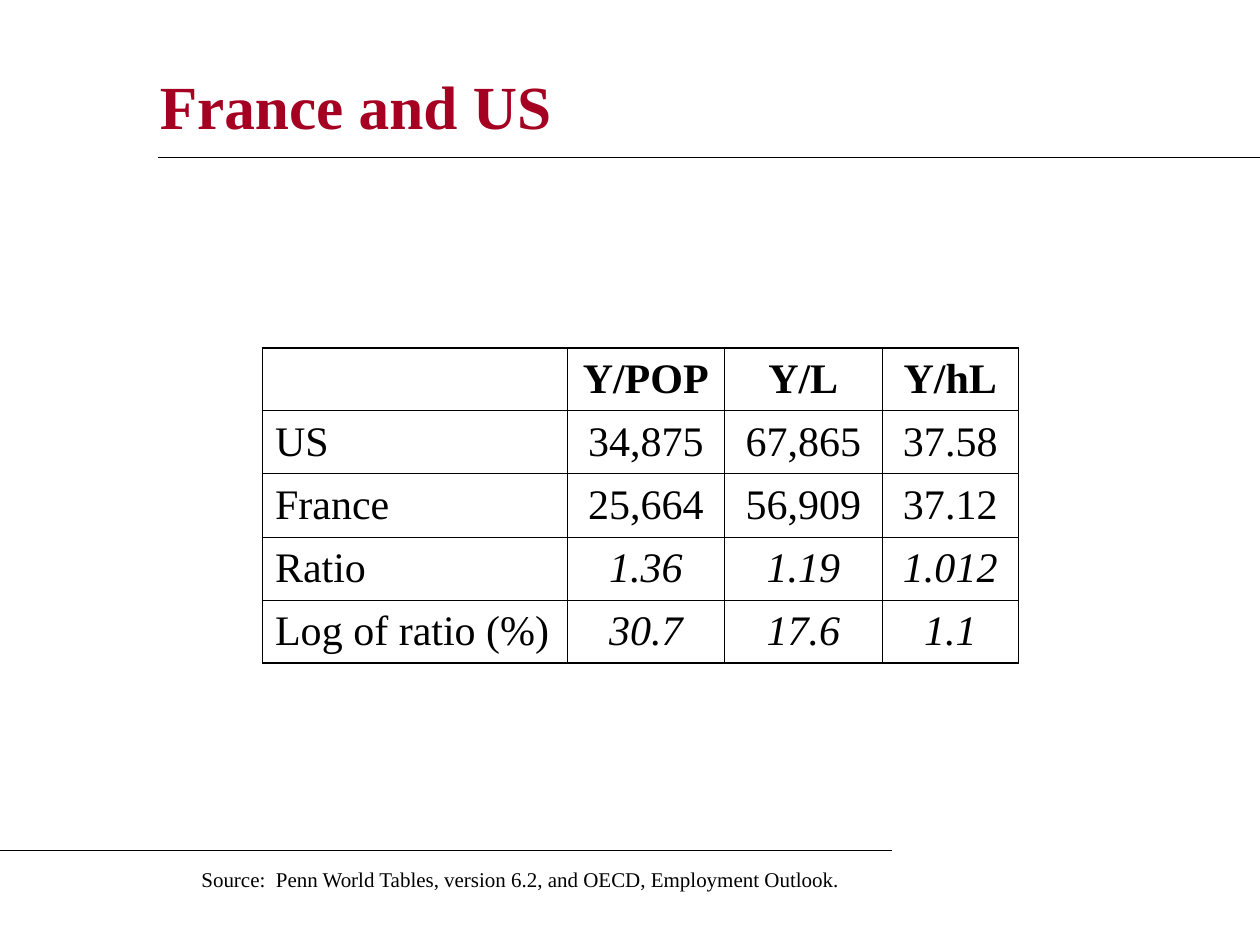
import pptx
import pptx.dml.color
import pptx.enum.shapes
import pptx.enum.text
import pptx.oxml.ns
import pptx.util
from lxml import etree

Pt = pptx.util.Pt
ALIGN = pptx.enum.text.PP_ALIGN
MIDDLE = pptx.enum.text.MSO_ANCHOR.MIDDLE
qn = pptx.oxml.ns.qn
COLORS = {"title": "A50021", "ink": "000000"}

deck = pptx.Presentation()
deck.slide_width, deck.slide_height = Pt(720), Pt(540)
slide = deck.slides.add_slide(deck.slide_layouts[6])


def add_text(paragraph, text, size, color="ink", bold=False, italic=False):
    run = paragraph.add_run()
    run.text = text
    run.font.name = "Times New Roman"
    run.font.size = Pt(size)
    run.font.bold = bold
    run.font.italic = italic
    run.font.color.rgb = pptx.dml.color.RGBColor.from_string(COLORS[color])


def add_border(cell, side, width):
    line = etree.SubElement(cell._tc.get_or_add_tcPr(), qn(f"a:ln{side}"), w=str(Pt(width)))
    fill = etree.SubElement(line, qn("a:solidFill"))
    etree.SubElement(fill, qn("a:srgbClr"), val=COLORS["ink"])


# Title
title = slide.shapes.add_textbox(Pt(84.24), Pt(30.24), Pt(594), Pt(60)).text_frame
title.word_wrap = True
title.vertical_anchor = MIDDLE
add_text(title.paragraphs[0], "France and US", 35, "title", bold=True)

# Rules under the title and above the source
for start, end, y in [(90, 720, 90), (0, 510, 486)]:
    rule = slide.shapes.add_connector(
        pptx.enum.shapes.MSO_CONNECTOR.STRAIGHT, Pt(start), Pt(y), Pt(end), Pt(y))
    rule.line.width = Pt(0.75)
    rule.line.color.rgb = pptx.dml.color.RGBColor.from_string(COLORS["ink"])
    etree.SubElement(rule._element.spPr, qn("a:effectLst"))

# Output comparison table
comparison = [
    ["", "Y/POP", "Y/L", "Y/hL"],
    ["US", "34,875", "67,865", "37.58"],
    ["France", "25,664", "56,909", "37.12"],
    ["Ratio", "1.36", "1.19", "1.012"],
    ["Log of ratio (%)", "30.7", "17.6", "1.1"],
]
widths = [174, 90, 90, 78]
last_row, last_col = len(comparison) - 1, len(widths) - 1
table = slide.shapes.add_table(
    len(comparison), len(widths), Pt(150), Pt(198.72), Pt(sum(widths)), Pt(180)).table
table.first_row = table.horz_banding = False
for column, width in zip(table.columns, widths):
    column.width = Pt(width)

for r, values in enumerate(comparison):
    table.rows[r].height = Pt(36)
    for c, value in enumerate(values):
        cell = table.cell(r, c)
        cell.vertical_anchor = MIDDLE
        outer_edges = {"L": c == 0, "R": c == last_col, "T": r == 0, "B": r == last_row}
        for side, outer in outer_edges.items():
            add_border(cell, side, 1.08 if outer else 0.45)
        cell.fill.background()
        entry = cell.text_frame.paragraphs[0]
        entry.alignment = ALIGN.CENTER if c else ALIGN.LEFT
        if value:
            add_text(entry, value, 24, bold=r == 0, italic=r >= 3 and c > 0)

# Source
source = slide.shapes.add_textbox(Pt(108), Pt(491.76), Pt(444), Pt(21.6)).text_frame
source.word_wrap = True
add_text(source.paragraphs[0],
         "Source:  Penn World Tables, version 6.2, and OECD, Employment Outlook.", 12)

deck.save("out.pptx")
